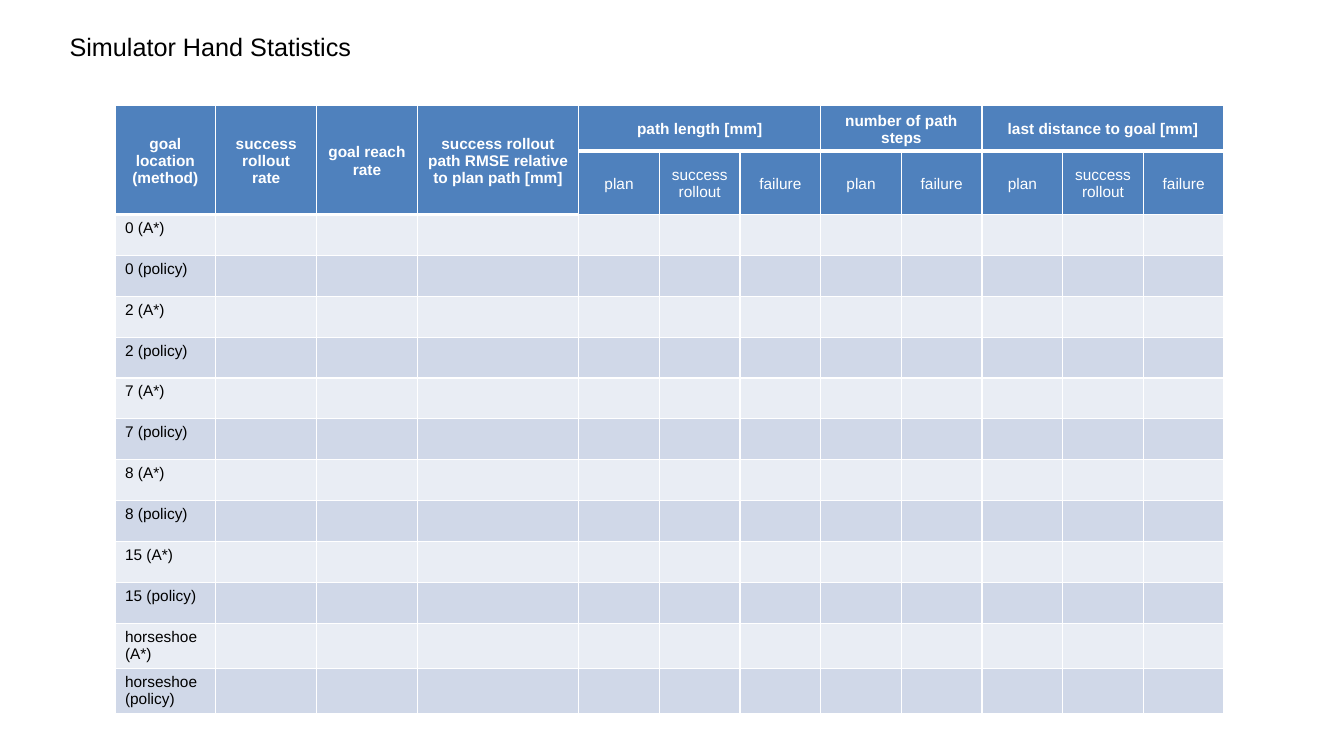
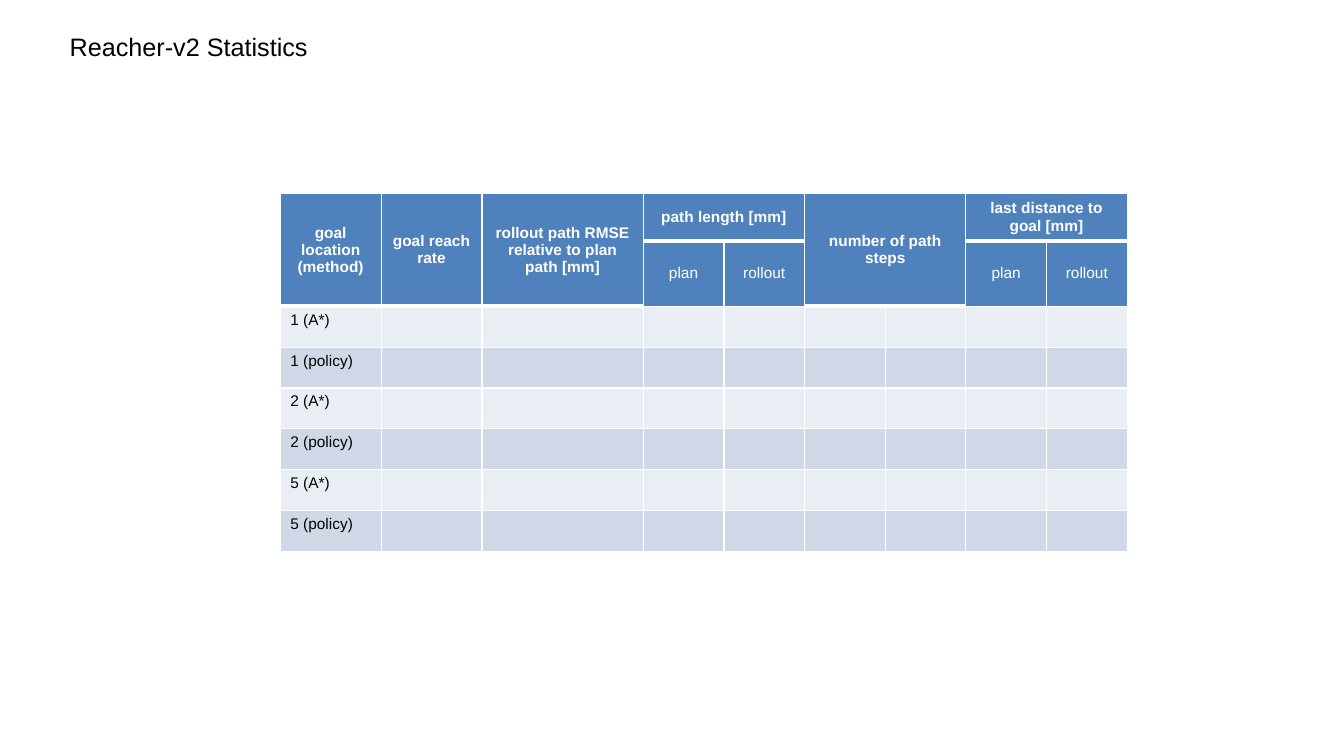
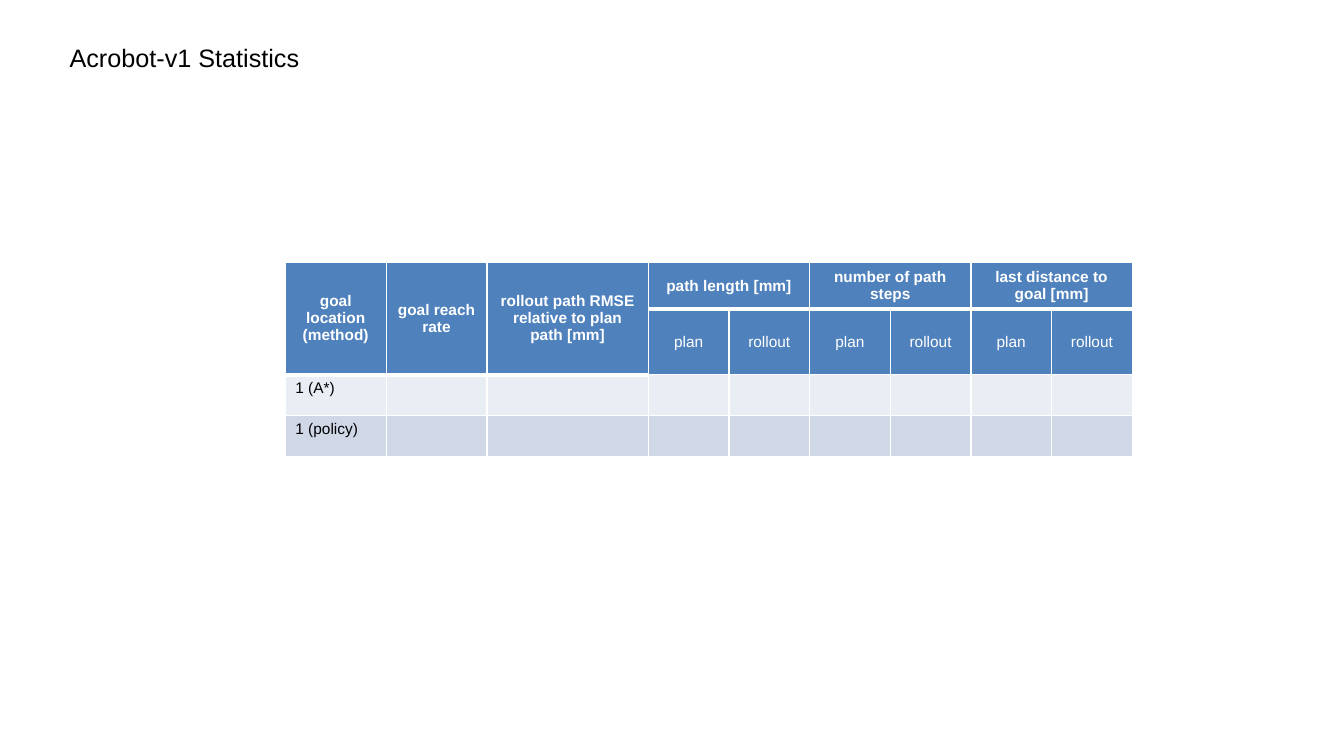
from lxml.etree import SubElement
from pptx import Presentation
from pptx.dml.color import RGBColor
from pptx.enum.text import MSO_ANCHOR as Anchor, MSO_AUTO_SIZE as AutoSize, PP_ALIGN as Align
from pptx.oxml.ns import qn
from pptx.util import Inches, Pt

COLORS = {
    "header": "4F81BD",
    "light_band": "E9EDF4",
    "dark_band": "D0D8E8",
    "border": "FFFFFF",
    "header_text": "FFFFFF",
    "text": "000000",
}
FONT = "Arial"
HEADER_ROWS = 2
ROW_HEIGHT = int(Inches(3.65) / 9)
NARROW, MEDIUM, WIDE = 0.8, 1, 1.6


class StatisticsDeck:
    """Holds the shared style and the slide being filled."""

    def __init__(self):
        """Start an empty widescreen presentation."""
        self.deck = Presentation()
        self.deck.slide_width = Inches(13.33)
        self.deck.slide_height = Inches(7.5)
        self.slide = None

    def add_slide(self, title, title_top):
        """Add a slide with the shared title style."""
        self.slide = self.deck.slides.add_slide(self.deck.slide_layouts[5])
        heading = self.slide.shapes.title
        heading.left, heading.top = Inches(0.59), Inches(title_top)
        heading.width, heading.height = Inches(12.1), Inches(0.4)
        frame = heading.text_frame
        frame.text = title
        frame.word_wrap = True
        frame.auto_size = AutoSize.SHAPE_TO_FIT_TEXT
        frame.vertical_anchor = Anchor.TOP
        self.format_text(frame, 18, "text")

    def format_text(self, frame, size, color, bold=False, align=Align.LEFT):
        """Format every run of a text frame."""
        for paragraph in frame.paragraphs:
            paragraph.alignment = align
            for run in paragraph.runs:
                run.font.name = FONT
                run.font.size = Pt(size)
                run.font.bold = bold
                run.font.color.rgb = RGBColor.from_string(COLORS[color])

    def paint_cell(self, cell, fill, bottom=1):
        """Fill a cell and draw its borders; bottom is a width in points."""
        cell.fill.solid()
        cell.fill.fore_color.rgb = RGBColor.from_string(COLORS[fill])
        properties = cell._tc.get_or_add_tcPr()
        sides = (("lnL", 1), ("lnR", 1), ("lnT", 1), ("lnB", bottom))
        for position, (side, width) in enumerate(sides):
            line = SubElement(properties, qn(f"a:{side}"), w=str(Pt(width)))
            paint = SubElement(line, qn("a:solidFill"))
            SubElement(paint, qn("a:srgbClr"), val=COLORS["border"])
            properties.insert(position, line)

    def write_header(self, cell, label, bold):
        """Write a centred header label."""
        cell.text = label
        cell.vertical_anchor = Anchor.MIDDLE
        self.format_text(cell.text_frame, 11, "header_text", bold, Align.CENTER)

    def add_header_group(self, table, first, group):
        """Write one header group and return the column after it."""
        label, widths, measures = group
        last = first + len(widths) - 1
        depth = 1 if measures else HEADER_ROWS
        for column, width in enumerate(widths, first):
            table.columns[column].width = Inches(width)
            for row in range(HEADER_ROWS):
                self.paint_cell(table.cell(row, column), "header", 3 if row < depth else 1)
        heading = table.cell(0, first)
        if depth > 1 or last > first:
            heading.merge(table.cell(depth - 1, last))
        self.write_header(heading, label, True)
        for column, measure in enumerate(measures, first):
            self.write_header(table.cell(1, column), measure, False)
        return last + 1

    def add_statistics(self, left, top, height, groups, goals, bottom_margin=0.05):
        """Add a table with grouped headers and two method rows per goal."""
        locations = [f"{goal} ({method})" for goal in goals for method in ("A*", "policy")]
        widths = [width for group in groups for width in group[1]]
        graphic = self.slide.shapes.add_table(
            HEADER_ROWS + len(locations), len(widths),
            Inches(left), Inches(top), Inches(sum(widths)), Inches(height))
        table = graphic.table
        table.first_row = table.horz_banding = False
        for row in table.rows:
            row.height = ROW_HEIGHT
        column = 0
        for group in groups:
            column = self.add_header_group(table, column, group)
        for index, location in enumerate(locations):
            row = HEADER_ROWS + index
            band = "dark_band" if index % 2 else "light_band"
            for column in range(len(widths)):
                self.paint_cell(table.cell(row, column), band)
            label = table.cell(row, 0)
            label.text = location
            self.format_text(label.text_frame, 11, "text")
        for cell in table.iter_cells():
            cell.margin_bottom = Inches(bottom_margin)
        graphic.height = Inches(height)


def single(label, width=MEDIUM):
    """Describe a one-column header that covers both header rows."""
    return label, [width], []


def grouped(label, *measures):
    """Describe a header above one narrow column per measure."""
    return label, [NARROW] * len(measures), measures


LOCATION = single("goal location (method)")
REACH_RATE = single("goal reach rate")
LENGTH, STEPS, DISTANCE = "path length [mm]", "number of path steps", "last distance to goal [mm]"
HAND_MEASURES = ("plan", "success rollout", "failure")
ROLLOUT_MEASURES = ("plan", "rollout")
HAND_GROUPS = [
    LOCATION,
    single("success rollout rate"),
    REACH_RATE,
    single("success rollout path RMSE relative to plan path [mm]", WIDE),
    grouped(LENGTH, *HAND_MEASURES),
    grouped(STEPS, "plan", "failure"),
    grouped(DISTANCE, *HAND_MEASURES),
]


def rollout_groups(steps):
    """Return the rollout header groups around the given steps group."""
    return [
        LOCATION,
        REACH_RATE,
        single("rollout path RMSE relative to plan path [mm]", WIDE),
        grouped(LENGTH, *ROLLOUT_MEASURES),
        steps,
        grouped(DISTANCE, *ROLLOUT_MEASURES),
    ]


def main():
    """Build the three statistics slides."""
    statistics = StatisticsDeck()

    statistics.add_slide("Simulator Hand Statistics", 0.26)
    statistics.add_statistics(
        1.14, 1.05, 5.92, HAND_GROUPS, [0, 2, 7, 8, 15, "horseshoe"], bottom_margin=0.03)

    statistics.add_slide("Reacher-v2 Statistics", 0.26)
    undivided_steps = (STEPS, [NARROW, NARROW], [])
    statistics.add_statistics(2.78, 1.92, 3.31, rollout_groups(undivided_steps), [1, 2, 5])

    statistics.add_slide("Acrobot-v1 Statistics", 0.37)
    divided_steps = grouped(STEPS, *ROLLOUT_MEASURES)
    statistics.add_statistics(2.83, 2.6, 1.68, rollout_groups(divided_steps), [1])

    statistics.deck.save("out.pptx")


main()
